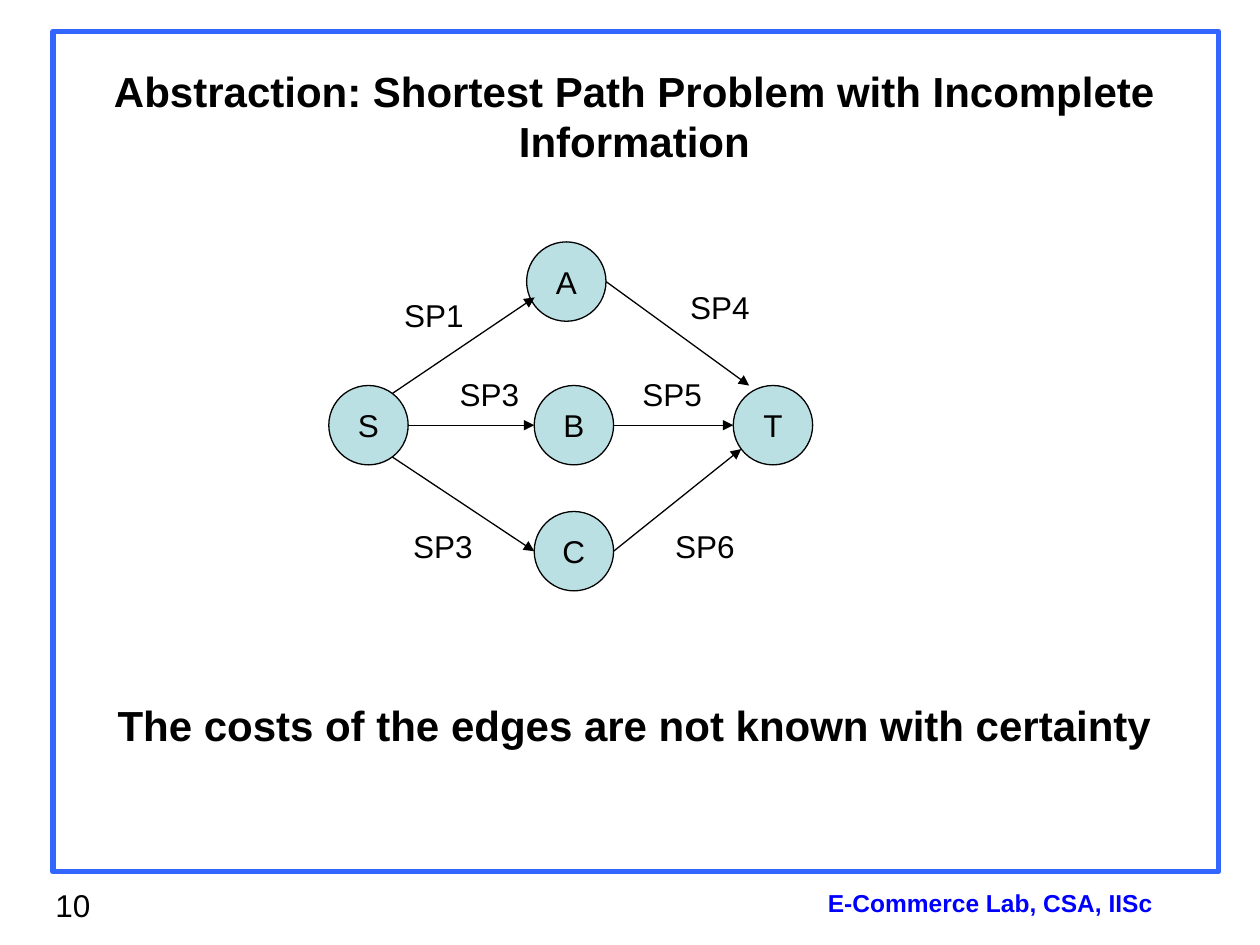
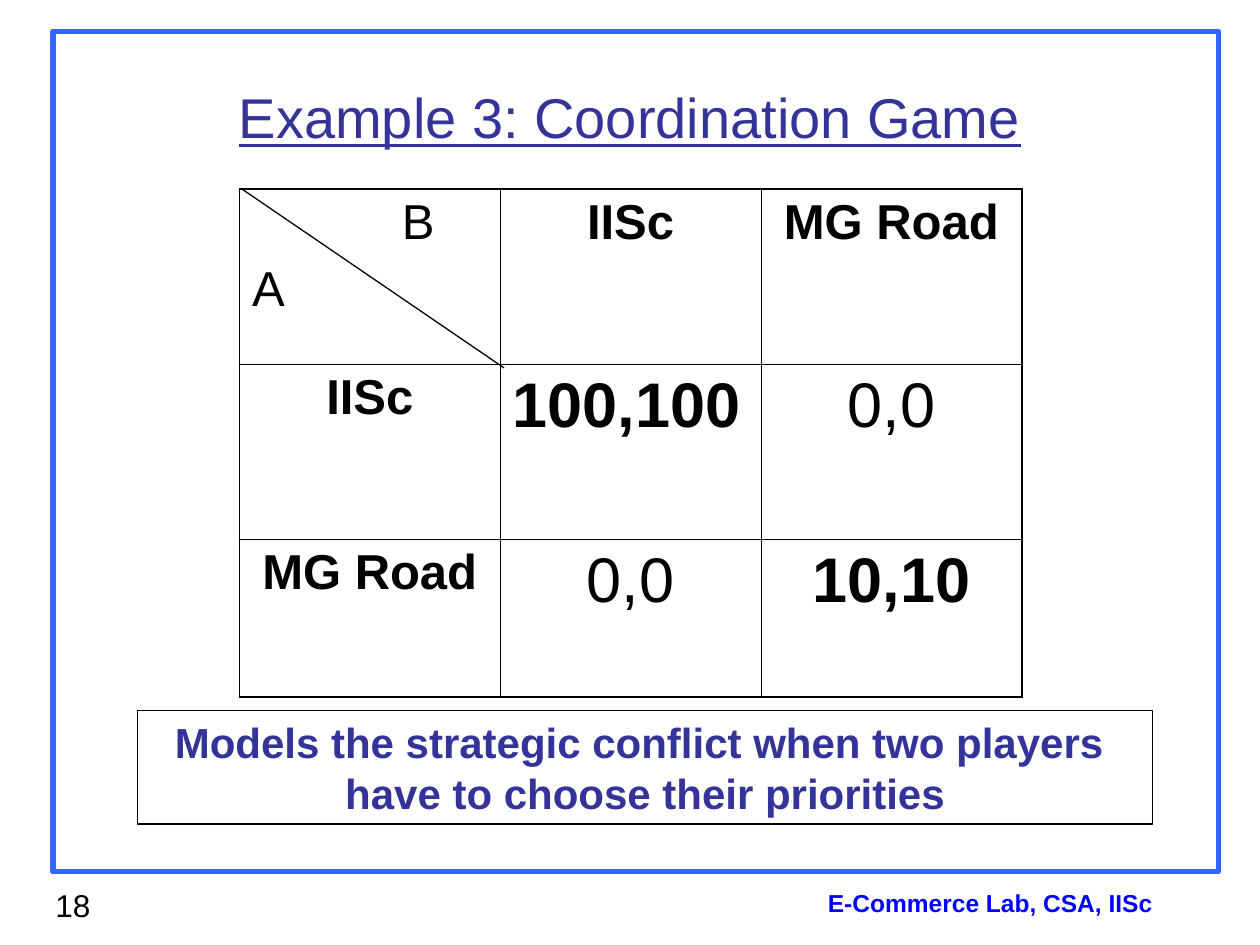
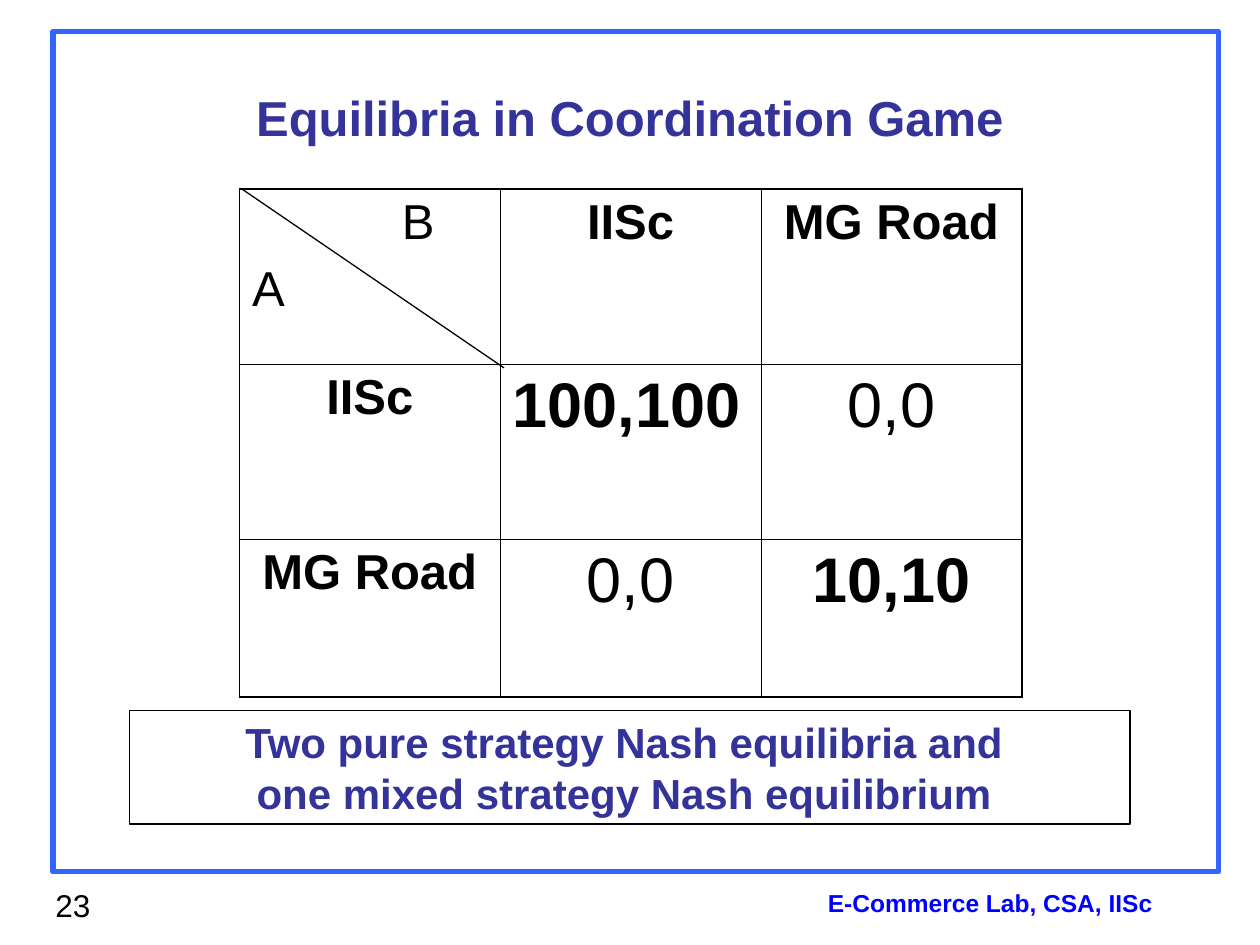
from lxml import etree
from pptx import Presentation
from pptx.dml.color import RGBColor
from pptx.enum.shapes import MSO_CONNECTOR, MSO_SHAPE
from pptx.enum.text import MSO_ANCHOR, MSO_AUTO_SIZE, PP_ALIGN
from pptx.oxml.ns import qn
from pptx.util import Inches, Pt

LEFT, CENTER = PP_ALIGN.LEFT, PP_ALIGN.CENTER
TOP, MIDDLE = MSO_ANCHOR.TOP, MSO_ANCHOR.MIDDLE
FIXED = MSO_AUTO_SIZE.NONE
RECTANGLE, OVAL = MSO_SHAPE.RECTANGLE, MSO_SHAPE.OVAL
STRAIGHT = MSO_CONNECTOR.STRAIGHT

# Shared look
FONT = "Arial"
BLACK, INDIGO, FRAME_BLUE, FOOTER_BLUE, NODE_FILL = (
    "000000", "333399", "3366FF", "0000FF", "BBE0E3")
FOOTER = "E-Commerce Lab, CSA, IISc"
FRAME_AREA = (0.42, 0.25, 9.25, 6.67)
FOOTER_AREA = (5.81, 7, 4.1, 0.34)
NUMBER_AREA = (0.34, 6.98, 2.52, 0.52)
TITLE_AREA = (0.5, 0.3, 9, 1.25)

# Path problem: node corners, edges as (node, share across, share down), label corners
PATH_TITLE = "Abstraction: Shortest Path Problem with Incomplete Information"
PATH_TITLE_AREA = (0.07, 0.47, 9.93, 0.9)
PATH_NOTE = "The costs of the edges are not known with certainty"
PATH_NOTE_AREA = (0.44, 5.5, 9.19, 0.5)
NODE_SIZE = 0.63
NODES = {"S": (2.61, 3.06), "A": (4.18, 1.92), "B": (4.24, 3.06),
         "C": (4.24, 4.06), "T": (5.82, 3.06)}
EDGES = [
    (("S", 0.8, 0.1), ("A", 0.1, 0.7)),
    (("A", 1, 0.5), ("T", 0.2, 0)),
    (("S", 1, 0.5), ("B", 0, 0.5)),
    (("B", 1, 0.5), ("T", 0, 0.5)),
    (("S", 0.8, 0.9), ("C", 0, 0.5)),
    (("C", 1, 0.5), ("T", 0.1, 0.8)),
]
LABEL_SIZE = (0.67, 0.4)
LABELS = [("SP1", 3.11, 2.3), ("SP4", 5.38, 2.24), ("SP3", 3.55, 2.93),
          ("SP5", 5, 2.93), ("SP3", 3.18, 4.13), ("SP6", 5.26, 4.13)]

# Payoff table: header cells at 28 points, payoffs at 36
PLACES = ["IISc", "MG Road"]
PAYOFFS = [["100,100", "0,0"], ["0,0", "10,10"]]
PLAYERS = ["B", "A"]
PLAYER_INDENT = 1.19
TABLE_AREA = (1.9, 1.5, 6.22, 4.03)
COLUMN_WIDTH = 2.07
ROW_HEIGHTS = [1.39, 1.39, 1.25]
OUTER_LINE, INNER_LINE = 1.08, 0.45
DIAGONAL = ((1.92, 1.5), (4, 2.92))

GAME_SLIDES = [
    {"number": 18, "title": "Example 3: Coordination Game",
     "style": {"size": 32, "underline": True},
     "caption": ["Models the strategic conflict when two players ",
                 "have to choose their priorities"],
     "caption_area": (1.09, 5.64, 8.06, 0.9)},
    {"number": 23, "title": "Equilibria in Coordination Game",
     "style": {"size": 28, "bold": True},
     "caption": ["Two pure strategy Nash equilibria and ",
                 "one mixed strategy Nash equilibrium "],
     "caption_area": (1.03, 5.64, 7.94, 0.9)},
]


def color(value):
    return RGBColor.from_string(value)


def inches(lengths):
    return [Inches(length) for length in lengths]


def write(frame, lines, size=18, bold=False, underline=False, ink=BLACK,
          align=LEFT, anchor=TOP, wrap=True, gap=0):
    """Fill a text frame, one paragraph for each line."""
    frame.word_wrap = wrap
    frame.vertical_anchor = anchor
    for index, line in enumerate([lines] if isinstance(lines, str) else lines):
        para = frame.add_paragraph() if index else frame.paragraphs[0]
        para.alignment = align
        para.space_before = Pt(gap if index else 0)
        span = para.add_run()
        span.text = line
        font = span.font
        font.name, font.size = FONT, Pt(size)
        font.bold, font.underline = bold, underline
        font.color.rgb = color(ink)


def add_text(slide, area, lines, **style):
    box = slide.shapes.add_textbox(*inches(area))
    write(box.text_frame, lines, **style)


def add_outline(slide, kind, area, line=BLACK, width=0.75, fill=None):
    shape = slide.shapes.add_shape(kind, *inches(area))
    shape.shadow.inherit = False
    if fill:
        shape.fill.solid()
        shape.fill.fore_color.rgb = color(fill)
    else:
        shape.fill.background()
    shape.line.color.rgb = color(line)
    shape.line.width = Pt(width)
    return shape


def add_line(slide, start, end, arrow=False):
    line = slide.shapes.add_connector(STRAIGHT, *inches((*start, *end)))
    line.line.color.rgb = color(BLACK)
    line.line.width = Pt(0.75)
    if arrow:
        etree.SubElement(line.line._get_or_add_ln(), qn("a:tailEnd"), type="triangle")
    etree.SubElement(line._element.spPr, qn("a:effectLst"))


def add_slide(deck, number, title, area=TITLE_AREA, **style):
    """Start a slide with its title, frame and footer."""
    slide = deck.slides.add_slide(deck.slide_layouts[5])
    heading = slide.shapes.title
    heading.left, heading.top, heading.width, heading.height = inches(area)
    heading.text_frame.auto_size = FIXED
    write(heading.text_frame, title, align=CENTER, **style)
    add_outline(slide, RECTANGLE, FRAME_AREA, FRAME_BLUE, 3)
    add_text(slide, FOOTER_AREA, FOOTER, size=14, bold=True, ink=FOOTER_BLUE, align=CENTER)
    add_text(slide, NUMBER_AREA, str(number))
    return slide


def set_borders(cell, widths):
    properties = cell._tc.get_or_add_tcPr()
    for side, width in widths.items():
        border = etree.SubElement(properties, qn(f"a:ln{side}"), w=str(Pt(width)))
        fill = etree.SubElement(border, qn("a:solidFill"))
        etree.SubElement(fill, qn("a:srgbClr"), val=BLACK)


def add_payoff_table(slide):
    count = len(ROW_HEIGHTS)
    table = slide.shapes.add_table(count, count, *inches(TABLE_AREA)).table
    table.first_row = table.horz_banding = False
    for index, height in enumerate(ROW_HEIGHTS):
        table.columns[index].width = Inches(COLUMN_WIDTH)
        table.rows[index].height = Inches(height)

    rows = [[PLAYERS, *PLACES]]
    rows += [[place, *payoffs] for place, payoffs in zip(PLACES, PAYOFFS)]
    last = count - 1
    for row, texts in enumerate(rows):
        for column, text in enumerate(texts):
            cell = table.cell(row, column)
            outer = {"L": column == 0, "R": column == last, "T": row == 0, "B": row == last}
            set_borders(cell, {side: OUTER_LINE if edge else INNER_LINE
                               for side, edge in outer.items()})
            cell.fill.background()
            corner = row == column == 0
            payoff = row > 0 and column > 0
            write(cell.text_frame, text, size=36 if payoff else 28,
                  bold=not corner and text != "0,0", gap=7,
                  align=LEFT if corner or text == "100,100" else CENTER)
    # Column player's letter sits above the diagonal
    indent = table.cell(0, 0).text_frame.paragraphs[0]._p.get_or_add_pPr()
    indent.set("marL", str(Inches(PLAYER_INDENT)))
    indent.set("indent", "0")
    add_line(slide, *DIAGONAL)


def add_path_slide(deck):
    slide = add_slide(deck, 10, PATH_TITLE, PATH_TITLE_AREA, size=24, bold=True)
    for name, corner in NODES.items():
        node = add_outline(slide, OVAL, (*corner, NODE_SIZE, NODE_SIZE), fill=NODE_FILL)
        write(node.text_frame, name, align=CENTER, anchor=MIDDLE, wrap=False)
    for edge in EDGES:
        start, end = [(NODES[name][0] + across * NODE_SIZE, NODES[name][1] + down * NODE_SIZE)
                      for name, across, down in edge]
        add_line(slide, start, end, arrow=True)
    for label, left, top in LABELS:
        add_text(slide, (left, top, *LABEL_SIZE), label, wrap=False)
    add_text(slide, PATH_NOTE_AREA, PATH_NOTE, size=24, bold=True, align=CENTER)


def add_game_slide(deck, game):
    slide = add_slide(deck, game["number"], game["title"],
                      ink=INDIGO, anchor=MIDDLE, **game["style"])
    add_payoff_table(slide)
    caption = add_outline(slide, RECTANGLE, game["caption_area"])
    write(caption.text_frame, game["caption"], size=24, bold=True, ink=INDIGO, align=CENTER)


def main():
    deck = Presentation()
    deck.slide_width, deck.slide_height = inches((10, 7.5))
    add_path_slide(deck)
    for game in GAME_SLIDES:
        add_game_slide(deck, game)
    deck.save("out.pptx")


if __name__ == "__main__":
    main()
